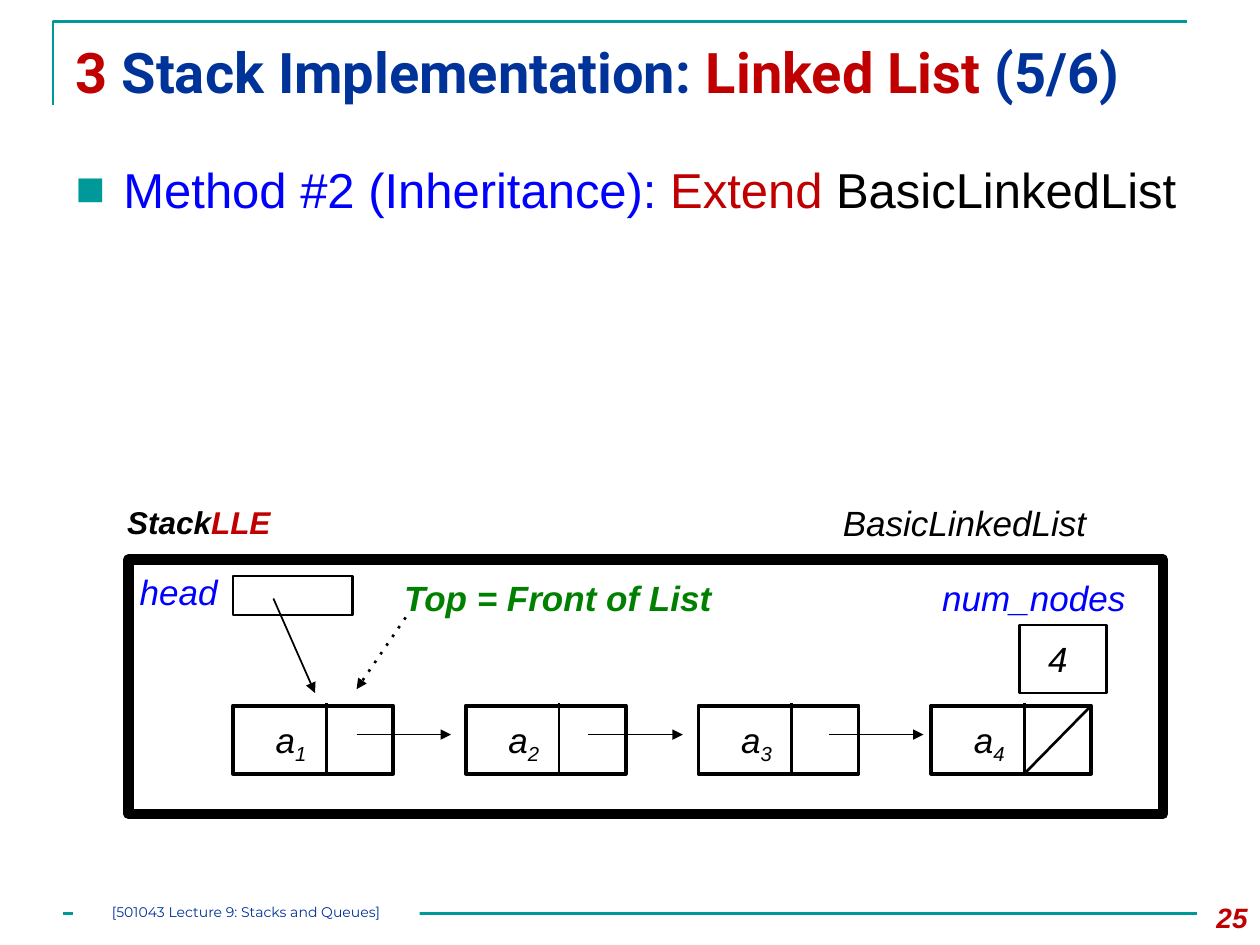
from lxml.etree import SubElement
from pptx import Presentation
from pptx.dml.color import RGBColor
from pptx.enum.shapes import MSO_CONNECTOR, MSO_SHAPE
from pptx.enum.text import MSO_ANCHOR, MSO_AUTO_SIZE, PP_ALIGN
from pptx.oxml.ns import qn
from pptx.util import Inches, Pt

COLORS = {
    "teal": "009999", "navy": "003399", "red": "C00000", "blue": "0000FF",
    "green": "008000", "black": "000000", "white": "FFFFFF",
}


def color(name):
    return RGBColor.from_string(COLORS[name])


def place(shape, *spot):
    shape.left, shape.top, shape.width, shape.height = map(Inches, spot)


def write(shape, runs, size, bold=False, italic=False, font="Arial",
          align=PP_ALIGN.LEFT, wrap=False, pad=(0.1, 0.05)):
    """Fill one paragraph with (text, color) runs."""
    frame = shape.text_frame
    frame.word_wrap = wrap
    frame.auto_size = MSO_AUTO_SIZE.NONE
    frame.vertical_anchor = MSO_ANCHOR.TOP
    frame.margin_left = frame.margin_right = Inches(pad[0])
    frame.margin_top = frame.margin_bottom = Inches(pad[1])
    para = frame.paragraphs[0]
    para.alignment = align
    para.space_before = Pt(0)
    for text, name in runs:
        run = para.add_run()
        run.text = text
        run.font.name = font
        run.font.size = Pt(size)
        run.font.bold = bold
        run.font.italic = italic
        run.font.color.rgb = color(name)
    return para


def label(shapes, spot, runs, size=20, bold=False, **style):
    box = shapes.add_textbox(*map(Inches, spot))
    return write(box, runs, size, bold, True, **style)


def rect(shapes, spot, width=None, fill=None):
    box = shapes.add_shape(MSO_SHAPE.RECTANGLE, *map(Inches, spot))
    box.shadow.inherit = False
    if fill:
        box.fill.solid()
        box.fill.fore_color.rgb = color(fill)
    else:
        box.fill.background()
    if width:
        box.line.color.rgb = color("black")
        box.line.width = Pt(width)
    else:
        box.line.fill.background()
    return box


def line(shapes, start, end, width=1.5, name="black", dash=None, arrow=False):
    link = shapes.add_connector(
        MSO_CONNECTOR.STRAIGHT, *map(Inches, (*start, *end)))
    link.line.color.rgb = color(name)
    link.line.width = Pt(width)
    stroke = link.line._get_or_add_ln()
    if dash:
        SubElement(stroke, qn("a:prstDash"), val=dash)
    if arrow:
        SubElement(stroke, qn("a:tailEnd"), type="triangle")
    SubElement(link._element.spPr, qn("a:effectLst"))


def bullet(para, indent):
    props = para._p.get_or_add_pPr()
    props.set("marL", str(Inches(indent)))
    props.set("indent", str(-Inches(indent)))
    tint = SubElement(props, qn("a:buClr"))
    SubElement(tint, qn("a:srgbClr"), val=COLORS["teal"])
    SubElement(props, qn("a:buFont"), typeface="Arial")
    SubElement(props, qn("a:buChar"), char="■")


def node(shapes, left, index, last):
    """A list cell: item on the left, link on the right."""
    group = shapes.add_group_shape().shapes
    split = left + 0.74
    rect(group, (left, 5.6, 1.27, 0.54), 2.25)
    line(group, (split, 5.58), (split, 6.13))
    para = label(group, (left + 0.24, 5.65, 0.46, 0.43),
                 [("a", "black"), (str(index), "black")])
    para.runs[1]._r.get_or_add_rPr().set("baseline", "-25000")
    if last:
        line(group, (left + 1.26, 5.61), (split, 6.14))


def trim(shapes):
    """Corner rule at the top and line at the foot."""
    corner = shapes.build_freeform(Inches(0.42), Inches(0.83))
    corner.add_line_segments(
        [(Inches(0.42), Inches(0.17)), (Inches(9.42), Inches(0.17))], close=False)
    shape = corner.convert_to_shape()
    shape.shadow.inherit = False
    shape.fill.background()
    shape.line.color.rgb = color("teal")
    shape.line.width = Pt(1.5)
    line(shapes, (0.5, 7.25), (9.5, 7.25), name="teal")


def main():
    deck = Presentation()
    deck.slide_width, deck.slide_height = Inches(10), Inches(7.5)
    slide = deck.slides.add_slide(deck.slide_layouts[1])
    shapes = slide.shapes
    trim(shapes)

    # Title and bullet
    title, body = slide.placeholders
    place(title, 0.5, 0.25, 9, 0.86)
    write(title, [("3 ", "red"), ("Stack Implementation: ", "navy"),
                  ("Linked List ", "red"), ("(5/6)", "navy")],
          32, bold=True, font="Roboto", wrap=True)
    place(body, 0.5, 1.17, 9.33, 1.17)
    para = write(body, [("Method #2 (Inheritance): ", "blue"),
                        ("Extend", "red"), (" BasicLinkedList", "black")],
                 28, wrap=True)
    para.line_spacing = 1.1
    bullet(para, 0.38)

    # Frame and its names
    rect(shapes, (1.02, 4.44, 8.21, 2.02), 6)
    label(shapes, (0.91, 3.94, 1.35, 0.4),
          [("Stack", "black"), ("LLE", "red")], 18, True)
    label(shapes, (6.59, 3.93, 2.15, 0.44), [("BasicLinkedList", "black")])

    # Head pointer
    rect(shapes, (1.85, 4.57, 0.95, 0.31), 1.5)
    label(shapes, (1.01, 4.48, 0.82, 0.43), [("head", "blue")])

    # Top note with its dotted arrow
    note = shapes.add_group_shape().shapes
    label(note, (3.11, 4.53, 2.66, 0.44),
          [("Top = Front of List", "green")], bold=True)
    line(note, (3.22, 4.9), (2.83, 5.47), dash="dot", arrow=True)

    # Node count
    rect(shapes, (8.09, 4.96, 0.69, 0.54), 1.5, "white")
    label(shapes, (7.38, 4.53, 1.8, 0.44), [("num_nodes", "blue")])
    count = rect(shapes, (8.22, 5.01, 0.39, 0.44), fill="white")
    write(count, [("4", "black")], 20, italic=True)

    # Linked nodes and arrows
    total = 4
    for i in range(total):
        node(shapes, 1.85 + 1.847 * i, i + 1, i == total - 1)
    for left in (2.83, 4.67, 6.58):
        line(shapes, (left, 5.83), (left + 0.75, 5.83), 1, arrow=True)
    line(shapes, (2.17, 4.75), (2.5, 5.5), 1, arrow=True)

    # Footer and page number
    foot = rect(shapes, (0.58, 7.17, 2.75, 0.17), fill="white")
    write(foot, [("[501043 Lecture 9: Stacks and Queues]", "navy")], 8,
          font="Montserrat", align=PP_ALIGN.CENTER, wrap=True, pad=(0, 0))
    label(shapes, (9.33, 7.1, 0.67, 0.4), [("25", "red")], 16, True,
          align=PP_ALIGN.RIGHT, wrap=True)

    deck.save("out.pptx")


if __name__ == "__main__":
    main()
